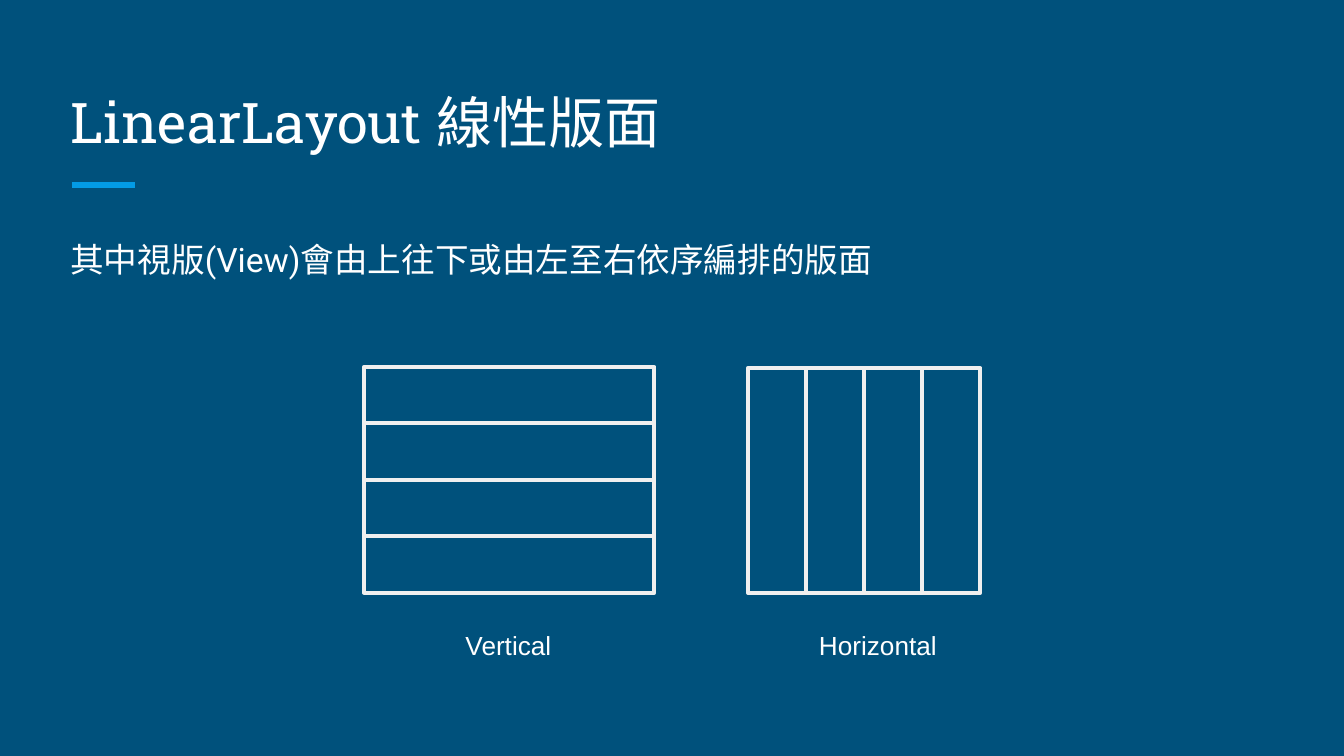
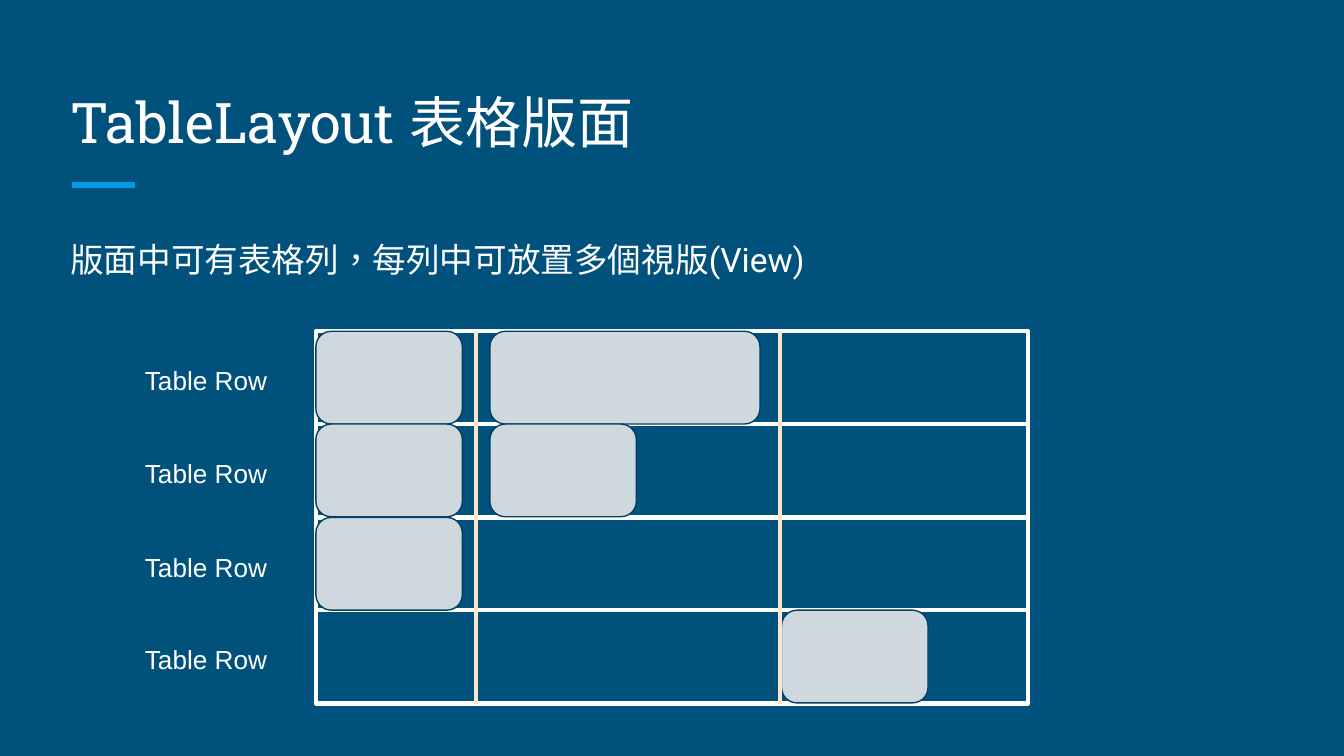
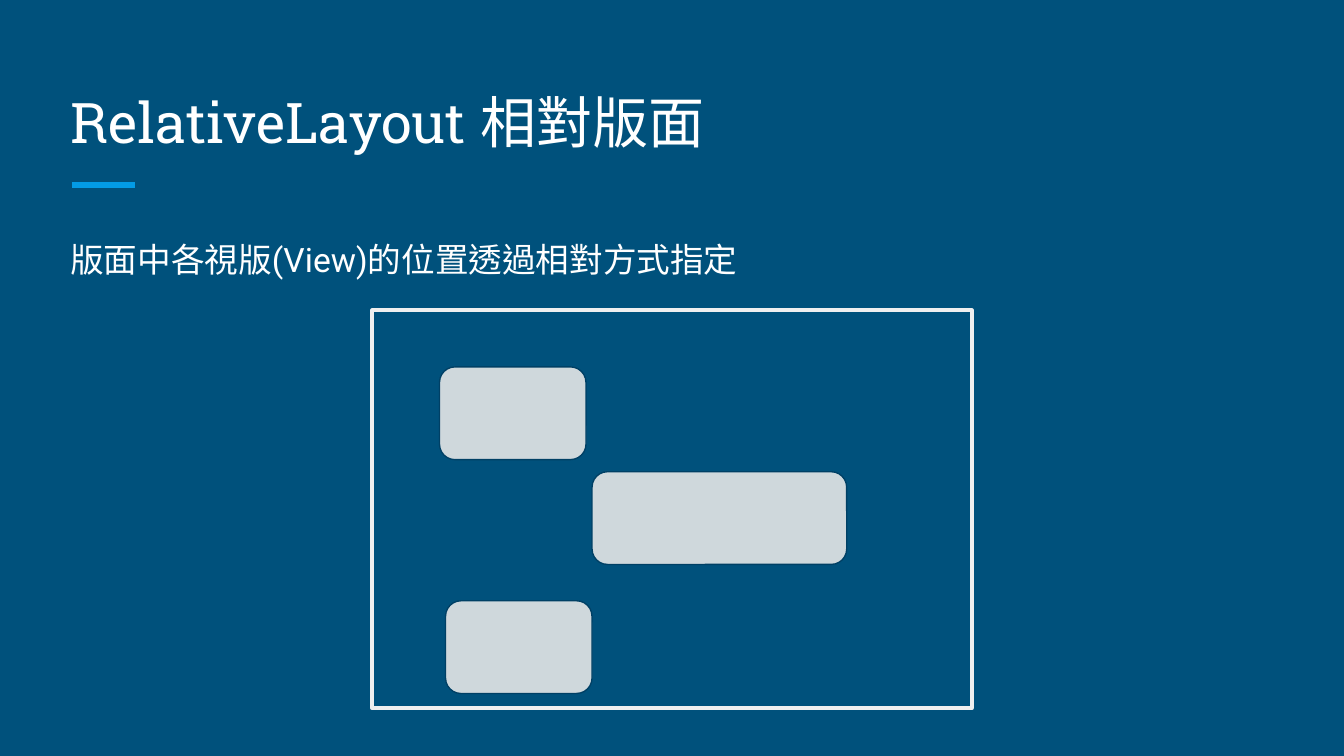
from typing import NamedTuple

from lxml.etree import SubElement
from pptx import Presentation
from pptx.dml.color import RGBColor
from pptx.enum.shapes import MSO_CONNECTOR, MSO_SHAPE
from pptx.enum.text import MSO_ANCHOR
from pptx.oxml.ns import qn
from pptx.util import Emu, Pt

EMU_PER_PX = 4572  # 200 px to the inch

NAVY = "00517C"
DARK_NAVY = "004065"
SKY = "039BE5"
WHITE = "FFFFFF"
LIGHT_GRAY = "EFEFEF"
VIEW_GRAY = "CFD8DC"
CREAM = "FCE5CD"

FRAME_PT = 2.25
VIEW_W, VIEW_H = 218, 138


class Box(NamedTuple):
    x: int
    y: int
    w: int
    h: int


class TextStyle(NamedTuple):
    font: str
    size: int
    anchor: MSO_ANCHOR = MSO_ANCHOR.TOP
    line_spacing: float = 1.0
    space_after: int = 0


TITLE = TextStyle("Roboto Slab", 30, anchor=MSO_ANCHOR.BOTTOM)
BODY = TextStyle("Roboto", 18, line_spacing=1.15, space_after=16)
LABEL = TextStyle("Arial", 14)


def px(n: int) -> Emu:
    return Emu(n * EMU_PER_PX)


def rgb(code: str) -> RGBColor:
    return RGBColor.from_string(code)


def add_text(s, box: Box, text: str, style: TextStyle) -> None:
    tf = s.shapes.add_textbox(*map(px, box)).text_frame
    tf.word_wrap = True
    tf.vertical_anchor = style.anchor
    tf.margin_left = tf.margin_top = tf.margin_right = tf.margin_bottom = px(20)
    p = tf.paragraphs[0]
    p.text = text
    p.line_spacing = style.line_spacing
    p.space_after = Pt(style.space_after)
    r = p.runs[0]
    r.font.size = Pt(style.size)
    r.font.color.rgb = rgb(WHITE)
    r.font.name = style.font
    # East Asian glyphs need their own font entry and language
    r_pr = r._r.get_or_add_rPr()
    r_pr.set("lang", "zh-TW")
    SubElement(r_pr, qn("a:ea"), typeface=style.font)


def add_line(s, x1: int, y1: int, x2: int, y2: int, color: str, width: float) -> None:
    line = s.shapes.add_connector(MSO_CONNECTOR.STRAIGHT, px(x1), px(y1), px(x2), px(y2))
    line.line.color.rgb = rgb(color)
    line.line.width = Pt(width)
    SubElement(line._element.spPr, qn("a:effectLst"))


def add_frame(s, box: Box, color: str = LIGHT_GRAY) -> None:
    """Draw an unfilled rectangle that stands for a layout area."""
    sp = s.shapes.add_shape(MSO_SHAPE.RECTANGLE, *map(px, box))
    sp.shadow.inherit = False
    sp.fill.background()
    sp.line.color.rgb = rgb(color)
    sp.line.width = Pt(FRAME_PT)


def add_view(s, x: int, y: int, w: int = VIEW_W) -> None:
    """Draw a rounded block that stands for a View."""
    sp = s.shapes.add_shape(MSO_SHAPE.ROUNDED_RECTANGLE, px(x), px(y), px(w), px(VIEW_H))
    sp.shadow.inherit = False
    sp.fill.solid()
    sp.fill.fore_color.rgb = rgb(VIEW_GRAY)
    sp.line.color.rgb = rgb(DARK_NAVY)
    sp.line.width = Pt(0.75)


def split_rows(area: Box, n: int) -> list[Box]:
    edges = [area.y + area.h * i // n for i in range(n + 1)]
    return [Box(area.x, a, area.w, b - a) for a, b in zip(edges, edges[1:])]


def split_columns(area: Box, n: int) -> list[Box]:
    edges = [area.x + area.w * i // n for i in range(n + 1)]
    return [Box(a, area.y, b - a, area.h) for a, b in zip(edges, edges[1:])]


def add_layout_slide(prs, title: str, body: str):
    s = prs.slides.add_slide(prs.slide_layouts[6])
    s.background.fill.solid()
    s.background.fill.fore_color.rgb = rgb(NAVY)
    add_line(s, 107, 275, 201, 275, SKY, 3)
    add_text(s, Box(85, 100, 1830, 150), title, TITLE)
    add_text(s, Box(85, 327, 1830, 674), body, BODY)
    return s


def build_linear(prs) -> None:
    s = add_layout_slide(prs, "LinearLayout 線性版面",
                         "其中視版(View)會由上往下或由左至右依序編排的版面")
    vertical = split_rows(Box(542, 546, 432, 336), 4)
    horizontal = split_columns(Box(1113, 548, 346, 334), 4)
    for cell in vertical + horizontal:
        add_frame(s, cell)
    add_text(s, Box(673, 916, 170, 84), "Vertical", LABEL)
    add_text(s, Box(1199, 916, 218, 84), "Horizontal", LABEL)


def build_table(prs) -> None:
    s = add_layout_slide(prs, "TableLayout 表格版面",
                         "版面中可有表格列，每列中可放置多個視版(View)")
    table = Box(470, 493, 1060, 554)
    first, second, third = table.x, 729, 1163
    views_by_row = [
        [(first, VIEW_W), (second, 402)],
        [(first, VIEW_W), (second, VIEW_W)],
        [(first, VIEW_W)],
        [(third, VIEW_W)],
    ]
    rows = split_rows(table, len(views_by_row))
    for row in rows:
        add_frame(s, row, WHITE)
    for row in rows:
        add_text(s, Box(196, row.y + 30, 234, 80), "Table Row", LABEL)
    for row, views in zip(rows, views_by_row):
        for x, w in views:
            add_view(s, x, row.y, w)
    for x in (708, 1161):
        add_line(s, x, table.y, x, table.y + table.h, CREAM, FRAME_PT)


def build_relative(prs) -> None:
    s = add_layout_slide(prs, "RelativeLayout 相對版面",
                         "版面中各視版(View)的位置透過相對方式指定")
    add_frame(s, Box(554, 462, 892, 592))
    add_view(s, 654, 546)
    add_view(s, 881, 702, 379)
    add_view(s, 663, 894)


def main() -> None:
    prs = Presentation()
    prs.slide_width, prs.slide_height = px(2000), px(1125)
    build_linear(prs)
    build_table(prs)
    build_relative(prs)
    prs.save("out.pptx")


if __name__ == "__main__":
    main()
